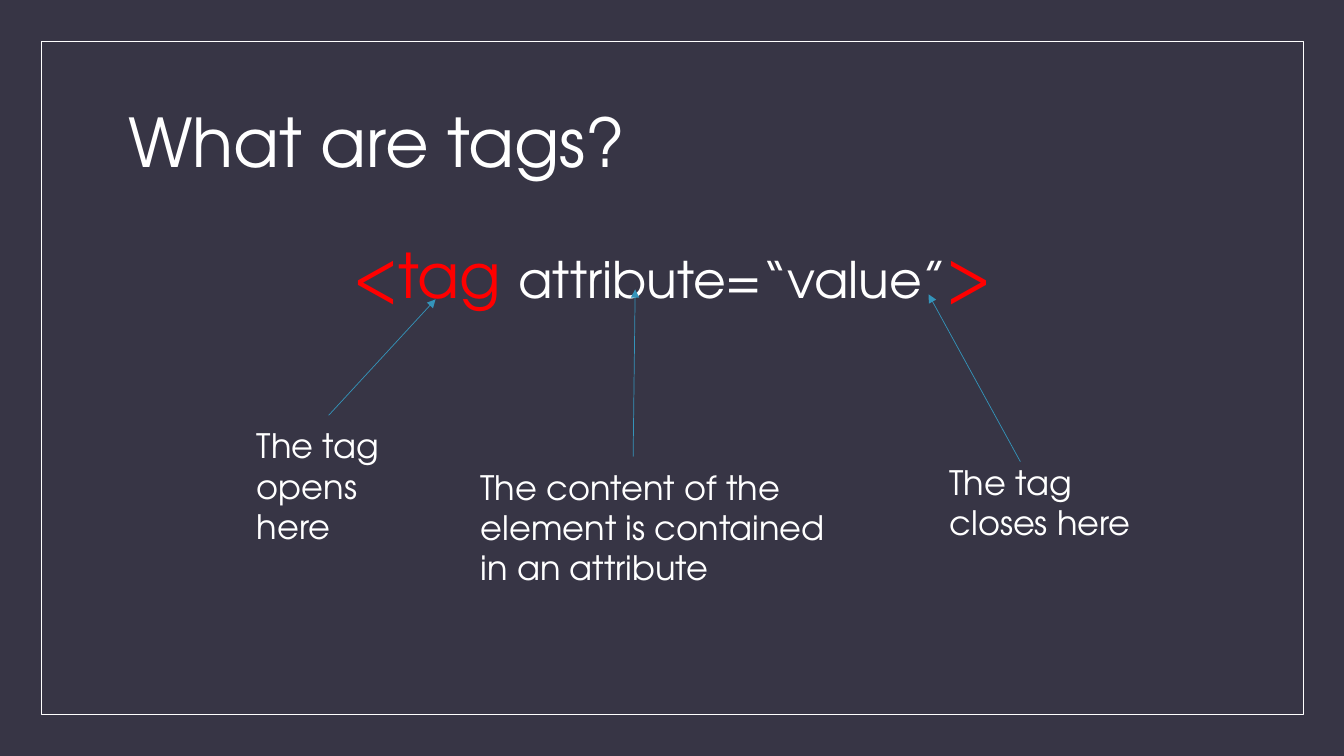
import pptx
import pptx.dml.color
import pptx.enum.shapes
import pptx.enum.text
import pptx.util
from lxml import etree
from pptx.oxml import ns

COLORS = {"background": "373545", "text": "FFFFFF", "tag": "FF0000", "arrow": "3494BA"}
FONT = "TeX Gyre Adventor"
TITLE_LAYOUT = 1


def rgb(name):
    return pptx.dml.color.RGBColor.from_string(COLORS[name])


class TagSlide:
    """Places elements by percentages of the slide's width and height."""

    def __init__(self, deck):
        self.width, self.height = deck.slide_width, deck.slide_height
        self.slide = deck.slides.add_slide(deck.slide_layouts[TITLE_LAYOUT])
        fill = self.slide.background.fill
        fill.solid()
        fill.fore_color.rgb = rgb("background")

    def point(self, x, y):
        return round(self.width * x / 100), round(self.height * y / 100)

    def box(self, left, top, width, height):
        return self.point(left, top) + self.point(width, height)

    def style(self, run, size, color="text"):
        run.font.name = FONT
        run.font.size = pptx.util.Pt(size)
        run.font.color.rgb = rgb(color)

    def frame(self, *area):
        border = self.slide.shapes.add_shape(
            pptx.enum.shapes.MSO_SHAPE.RECTANGLE, *self.box(*area))
        border.shadow.inherit = False
        border.fill.background()
        border.line.color.rgb = rgb("text")
        border.line.width = pptx.util.Pt(0.5)

    def move(self, placeholder, *area):
        (placeholder.left, placeholder.top,
         placeholder.width, placeholder.height) = self.box(*area)
        placeholder.text_frame.auto_size = pptx.enum.text.MSO_AUTO_SIZE.NONE

    def title(self, text, *area):
        heading = self.slide.shapes.title
        self.move(heading, *area)
        heading.text_frame.text = text
        heading.text_frame.vertical_anchor = pptx.enum.text.MSO_ANCHOR.MIDDLE
        paragraph = heading.text_frame.paragraphs[0]
        paragraph.alignment = pptx.enum.text.PP_ALIGN.LEFT
        paragraph.line_spacing = 0.9
        self.style(paragraph.runs[0], 48)

    def body(self, parts, *area):
        """Write one centred line from (text, size, color) parts."""
        markup = self.slide.placeholders[1]
        self.move(markup, *area)
        paragraph = markup.text_frame.paragraphs[0]
        paragraph.alignment = pptx.enum.text.PP_ALIGN.CENTER
        paragraph.space_before = pptx.util.Pt(0)
        properties = paragraph._p.get_or_add_pPr()
        properties.set("marL", "0")
        properties.set("indent", "0")
        etree.SubElement(properties, ns.qn("a:buNone"))
        for text, size, color in parts:
            run = paragraph.add_run()
            run.text = text
            self.style(run, size, color)

    def note(self, text, *area):
        label = self.slide.shapes.add_textbox(*self.box(*area)).text_frame
        label.word_wrap = True
        label.auto_size = pptx.enum.text.MSO_AUTO_SIZE.SHAPE_TO_FIT_TEXT
        label.text = text
        self.style(label.paragraphs[0].runs[0], 24)

    def arrow(self, start, end):
        pointer = self.slide.shapes.add_connector(
            pptx.enum.shapes.MSO_CONNECTOR.STRAIGHT,
            *self.point(*start), *self.point(*end))
        pointer.line.color.rgb = rgb("arrow")
        pointer.line.width = pptx.util.Pt(0.5)
        etree.SubElement(pointer.line._get_or_add_ln(), ns.qn("a:tailEnd"), type="triangle")
        etree.SubElement(pointer._element.spPr, ns.qn("a:effectLst"))


def main():
    deck = pptx.Presentation()
    deck.slide_width = pptx.util.Inches(13.33)
    deck.slide_height = pptx.util.Inches(7.5)
    page = TagSlide(deck)

    page.frame(3.08, 5.47, 93.92, 89.07)
    page.title("What are tags?", 8.78, 9.33, 82.52, 20)
    page.body([("<tag ", 44, "tag"), ("attribute=“value”", 36, "text"), (">", 44, "tag")],
              8.78, 30.67, 82.52, 57.33)

    notes = [
        ("The tag opens here", (18.38, 55.6, 11.4, 17.47)),
        ("The content of the element is contained in an attribute",
         (35.03, 61.07, 29.63, 12.13)),
        ("The tag closes here", (69.92, 60.4, 17.7, 12.13)),
    ]
    for text, area in notes:
        page.note(text, *area)

    arrows = [
        ((24.46, 54.93), (32.41, 39.6)),
        ((47.11, 60.4), (47.26, 38.27)),
        ((75.92, 61.07), (69.09, 38.93)),
    ]
    for start, end in arrows:
        page.arrow(start, end)

    deck.save("out.pptx")


if __name__ == "__main__":
    main()
